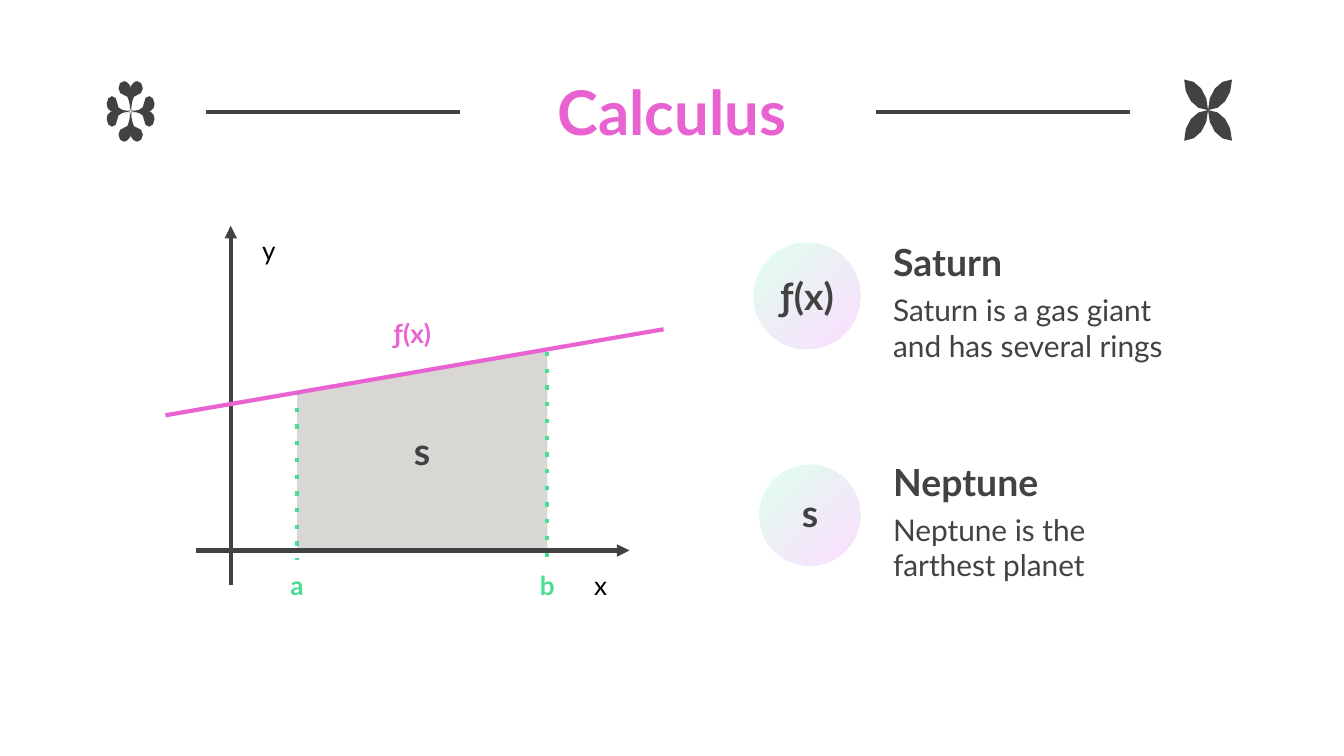
from itertools import product
from lxml import etree
from pptx import Presentation
from pptx.dml import color
from pptx.enum import shapes, text
from pptx.oxml import ns
from pptx.util import Pt

DARK, PINK, GREEN, GREY = "424242", "E962D1", "49DE93", "D8D7D3"
MINT, ROSE, BLACK = "E0FFEE", "FBDDFF", "000000"
LEFT, MID = text.PP_ALIGN.LEFT, text.PP_ALIGN.CENTER

# Petals run from the centre of an ornament: 2 numbers a line, 6 a curve
TALL = [(-0.4, 0), (-0.4, -10.8), (-0.4, -13, 0.4, -14.4, 1.6, -15.4),
        (2.4, -16, 3.2, -16.2, 3.6, -16.2), (5.2, -16.2, 6.5, -14.6, 6.5, -12.4),
        (6.5, -10.5, 5.2, -8.8, 3.6, -8.8), (2.2, -8.8, 1, -7.4, 1, -5.8)]
WIDE = [(0, 0.4), (4.6, -0.9), (6.3, -1.2, 7.2, -2.8, 7.2, -4.6),
        (7.2, -6.8, 8.5, -8.2, 10, -8.2), (11.5, -8.2, 12.8, -6.3, 12.8, -4.2),
        (12.8, -3.4, 12.6, -2.4, 12.2, -1.6), (11.4, -0.4, 10, 0.4, 8.6, 0.4)]
LEAF = [(0, 0), (0, -9, 5.4, -16.4, 12.8, -16.4), (12.8, -7.2, 7.4, 0, 0, 0)]


def rgb(code):
    return color.RGBColor.from_string(code)


def trace(path, steps):
    """Turn lines and cubic curves into a list of points."""
    dots = []
    for seg in path:
        if len(seg) == 2:
            dots.append(seg)
            continue
        pts = [dots[-1], seg[:2], seg[2:4], seg[4:]]
        for i in range(1, steps + 1):
            t = i / steps
            mix = ((1 - t) ** 3, 3 * t * (1 - t) ** 2, 3 * t * t * (1 - t), t ** 3)
            dots.append(tuple(sum(m * p[k] for m, p in zip(mix, pts)) for k in (0, 1)))
    return dots


class Deck:
    font = "Lato"
    frame = {"word_wrap": True, "vertical_anchor": text.MSO_ANCHOR.MIDDLE,
             "margin_left": Pt(7.2), "margin_right": Pt(7.2),
             "margin_top": Pt(7.2), "margin_bottom": Pt(7.2)}

    def __init__(self, wide, high):
        self.prs = Presentation()
        self.prs.slide_width, self.prs.slide_height = Pt(wide), Pt(high)
        self.slide = self.prs.slides.add_slide(self.prs.slide_layouts[6])
        self.items = self.slide.shapes

    def paint(self, shape, *tints):
        shape.shadow.inherit = False
        shape.line.fill.background()
        if len(tints) == 1:
            shape.fill.solid()
            shape.fill.fore_color.rgb = rgb(tints[0])
            return
        shape.fill.gradient()
        shape.fill.gradient_angle = 315
        for stop, tint, spot in zip(shape.fill.gradient_stops, tints, (0, 1)):
            stop.color.rgb, stop.position = rgb(tint), spot

    def shape(self, kind, box, *tints):
        self.paint(self.items.add_shape(kind, *map(Pt, box)), *tints)

    def bloom(self, x, y, petal, steps=2):
        """Mirror one petal into the four quarters around x, y."""
        for sx, sy in product((1, -1), repeat=2):
            dots = [(Pt(x + sx * a), Pt(y + sy * b)) for a, b in trace(petal, steps)]
            pen = self.items.build_freeform(*dots[0])
            pen.add_line_segments(dots[1:], close=True)
            self.paint(pen.convert_to_shape(), DARK)

    def line(self, ends, tint=DARK, **extra):
        """Draw a line; extra maps a line element to its main value."""
        link = self.items.add_connector(shapes.MSO_CONNECTOR.STRAIGHT, *map(Pt, ends))
        link.line.width = Pt(2.25)
        link.line.color.rgb = rgb(tint)
        stroke = link._element.spPr.find(ns.qn("a:ln"))
        for tag, val in extra.items():
            part = etree.SubElement(stroke, ns.qn("a:" + tag))
            part.set("val" if tag == "prstDash" else "type", val)
        etree.SubElement(link._element.spPr, ns.qn("a:effectLst"))

    def text(self, words, box, size, tint=DARK, bold=True, align=MID, after=0):
        body = self.items.add_textbox(*map(Pt, box)).text_frame
        for key, val in self.frame.items():
            setattr(body, key, val)
        para = body.paragraphs[0]
        para.alignment, para.space_after = align, Pt(after)
        run = para.add_run()
        run.text = words
        look = {"name": self.font, "size": Pt(size), "bold": bold}
        for key, val in look.items():
            setattr(run.font, key, val)
        run.font.color.rgb = rgb(tint)

    def label(self, words, x, y, size=14, tint=BLACK, bold=True, wide=28.8):
        """Place a short word centred on x, y."""
        self.text(words, (x - wide / 2, y - 13.3, wide, 26.6), size, tint, bold)

    def entry(self, sign, name, note, y, mid, size, drop=0):
        """Place a round badge with a heading and a note beside it."""
        self.shape(shapes.MSO_SHAPE.OVAL, (460.8 - size, mid - size / 2, size, size),
                   MINT, ROSE)
        self.label(sign, 461 - size / 2, mid - drop, 20, DARK, wide=60)
        self.text(name, (471.4, y, 160, 34.6), 20, align=LEFT, after=12)
        self.text(note, (471.4, y + 33.8, 160, 37.6), 16, bold=False, align=LEFT, after=12)


def main():
    deck = Deck(720, 405)

    # Header: ornaments, rules and title
    for petal in (TALL, WIDE):
        deck.bloom(70, 59.7, petal)
    deck.bloom(647.2, 59, LEAF, 4)
    for x in (110.5, 469.5):
        deck.line((x, 59.8, x + 136, 59.8))
    deck.text("Calculus", (58.3, 36.7, 603.4, 45.4), 33, PINK)

    # Graph: area, axes, limits and function
    a, b, base = 159.1, 293.2, 294.9
    deck.shape(shapes.MSO_SHAPE.FLOWCHART_MANUAL_INPUT, (a, 188, b - a, base - 188), GREY)
    deck.line((123.6, 313.6, 123.6, 121), tailEnd="triangle")
    deck.line((104.8, base, 337.2, base), tailEnd="triangle")
    for x, top in ((b, 188.6), (a, 209.5)):
        deck.line((x, top, x, 300.2), GREEN, prstDash="dot")
    deck.line((88.6, 222.5, 355.5, 176.4), PINK)

    # Graph labels
    deck.label("ƒ(x)", 221, 178.2, tint=PINK, wide=49)
    deck.label("y", 144, 134.1, bold=False)
    deck.label("x", 321.8, 313.3, bold=False)
    for word, x in (("a", a), ("b", b)):
        deck.label(word, x, 313.3, tint=GREEN)
    deck.label("s", (a + b) / 2, 241.6, 20, DARK)

    # Legend
    deck.entry("ƒ(x)", "Saturn", "Saturn is a gas giant and has several rings",
               123, 158.5, 57)
    deck.entry("s", "Neptune", "Neptune is the farthest planet", 240.5, 276, 54, 1.4)

    deck.prs.save("out.pptx")


if __name__ == "__main__":
    main()
